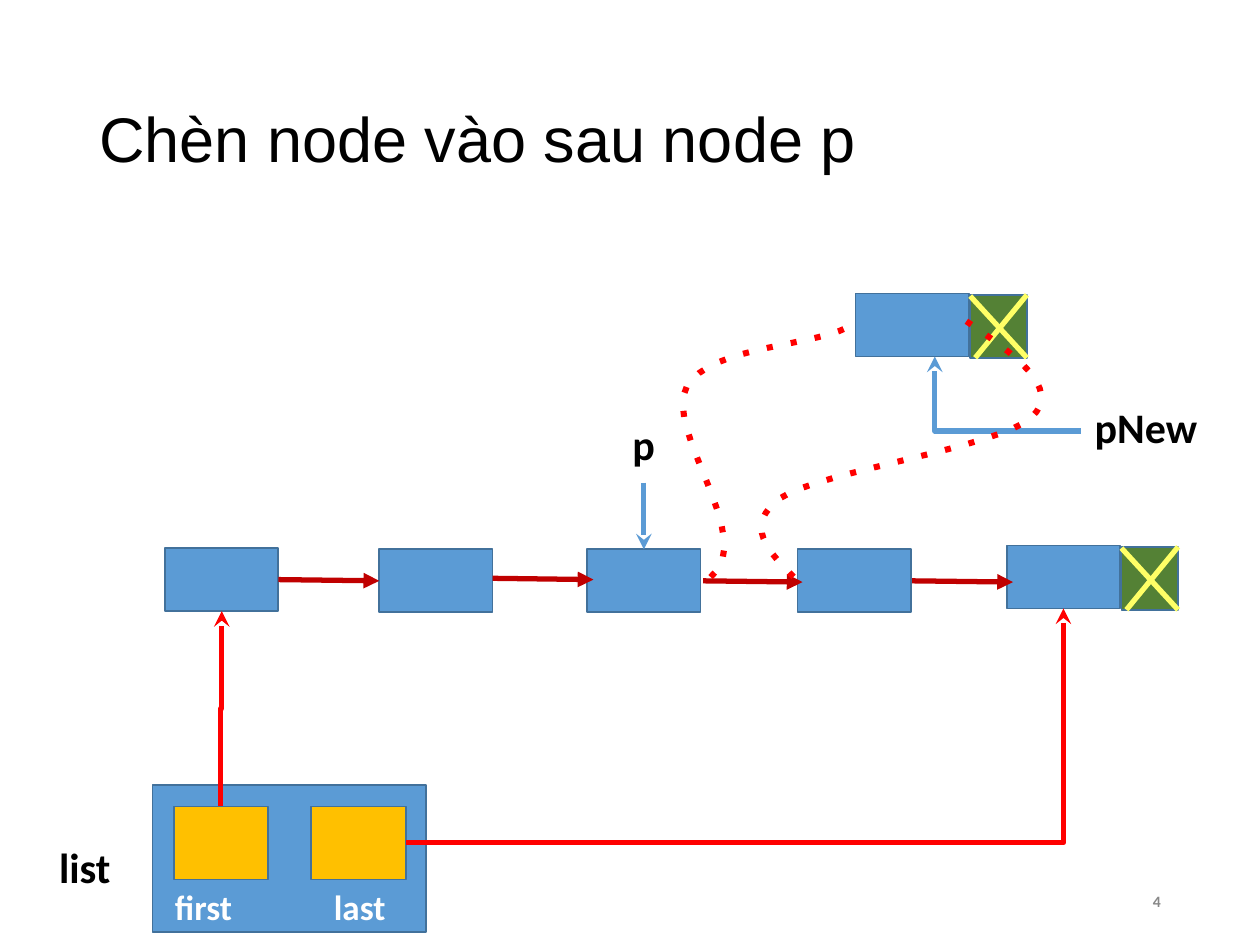
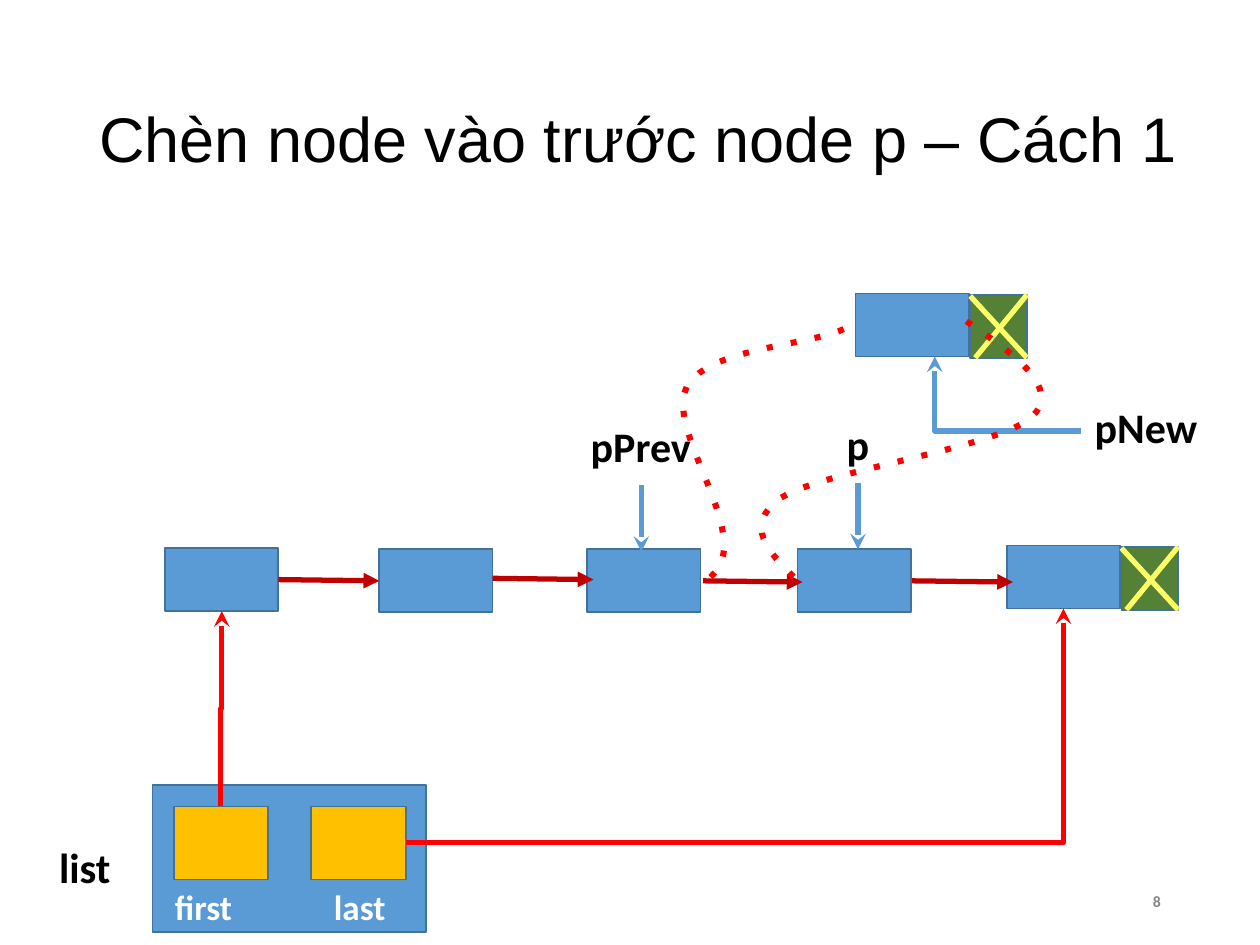
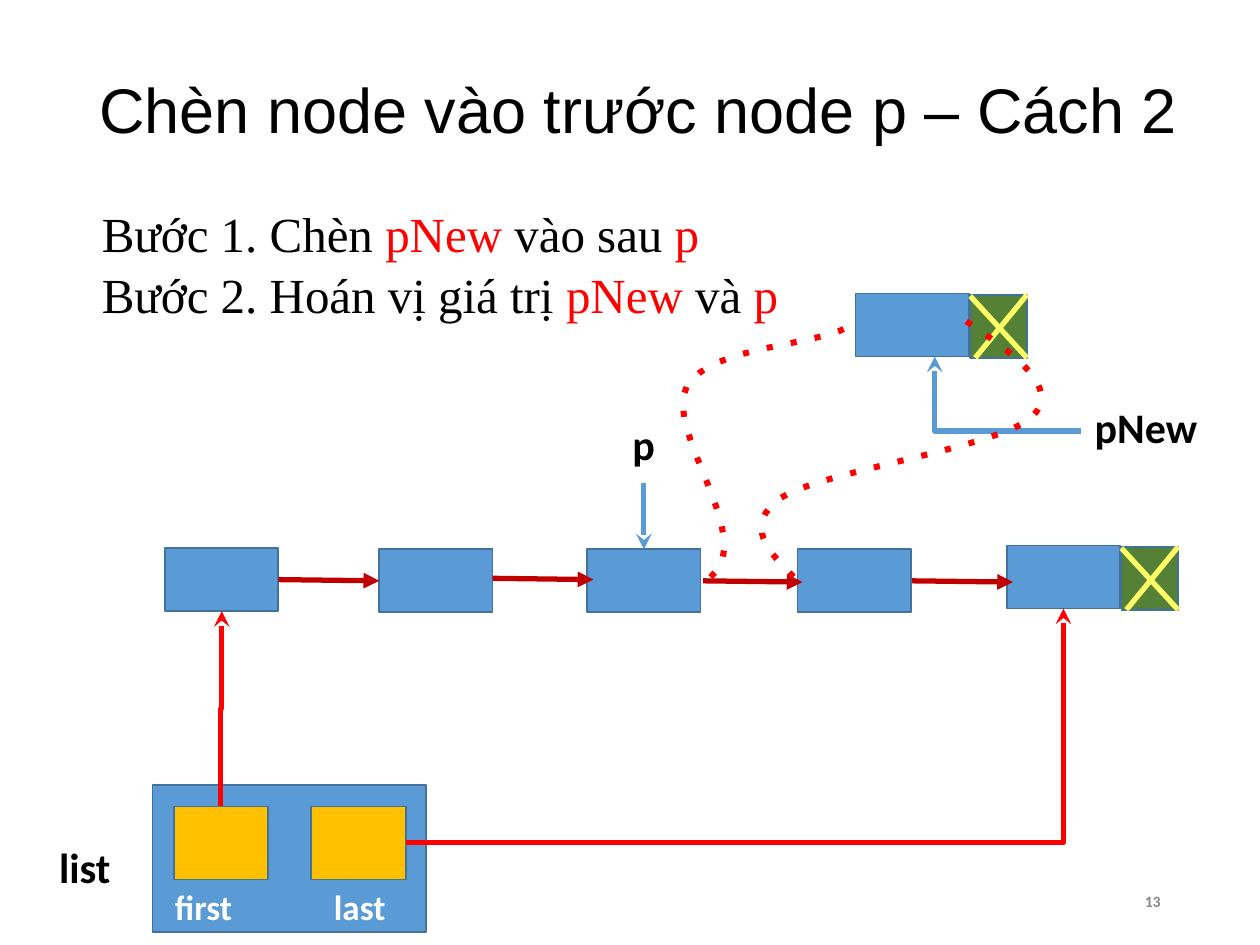
from lxml import etree
from pptx import Presentation
from pptx.dml.color import RGBColor
from pptx.enum.shapes import MSO_CONNECTOR, MSO_SHAPE
from pptx.enum.text import MSO_ANCHOR, PP_ALIGN
from pptx.oxml.ns import qn
from pptx.util import Inches, Pt

STRAIGHT, ELBOW = MSO_CONNECTOR.STRAIGHT, MSO_CONNECTOR.ELBOW
RECTANGLE = MSO_SHAPE.RECTANGLE
TOP, MIDDLE = MSO_ANCHOR.TOP, MSO_ANCHOR.MIDDLE
LEFT, CENTER, RIGHT = PP_ALIGN.LEFT, PP_ALIGN.CENTER, PP_ALIGN.RIGHT

BLACK, WHITE, GREY = "000000", "FFFFFF", "888888"
BLUE, OUTLINE, GOLD, GREEN = "5B9BD5", "42719B", "FFC000", "548135"
RED, DARK_RED, YELLOW = "FF0000", "C00000", "FFFF66"
NODE_WIDTH, NODE_HEIGHT, NULL_WIDTH = 0.9, 0.5, 0.45
CURVE_STEPS = 16

NODES = [(1.31, 4.35), (3.01, 4.36), (4.66, 4.36), (6.33, 4.36), (7.99, 4.33)]
NEXT_ARROWS = [(2.21, 4.6, 3.01), (3.91, 4.59, 4.71), (5.58, 4.61, 6.37), (7.24, 4.61, 8.04)]
NEW_TO_NEXT = [(7.67, 2.55), (8.05, 2.81), (8.43, 3.08), (8.19, 3.31), (7.94, 3.55),
               (6.52, 3.74), (6.2, 3.95), (5.89, 4.17), (6.1, 4.38), (6.31, 4.59)]
PREVIOUS_TO_NEW = [(5.64, 4.58), (6.02, 4.28), (5.26, 3.41), (5.45, 3.07),
                   (5.64, 2.73), (6.54, 2.75), (6.77, 2.57)]
STEPS = [
    [("Bước 1. Chèn ", BLACK), ("pNew", RED), (" vào sau ", BLACK), ("p", RED)],
    [("Bước 2. Hoán vị giá trị ", BLACK), ("pNew", RED), (" và ", BLACK), ("p", RED)],
]


def color(value):
    """Return the colour for a hex string."""
    return RGBColor.from_string(value)


def curve_points(controls):
    """Return points along a chain of cubic Bézier segments."""
    points = [controls[0]]
    for first in range(0, len(controls) - 1, 3):
        segment = controls[first:first + 4]
        for step in range(1, CURVE_STEPS + 1):
            t = step / CURVE_STEPS
            weights = ((1 - t) ** 3, 3 * t * (1 - t) ** 2, 3 * t ** 2 * (1 - t), t ** 3)
            points.append(tuple(sum(weight * point[axis] for weight, point in zip(weights, segment))
                                for axis in (0, 1)))
    return points


class ListDiagram:
    """Draws linked list diagrams on the slides of a deck."""

    def __init__(self, deck):
        """Keep the deck that receives the slides."""
        self.deck = deck
        self.slide = None

    def add_slide(self, title, number, title_top=0.4, title_width=8.93):
        """Start a slide with its title and number."""
        self.slide = self.deck.slides.add_slide(self.deck.slide_layouts[6])
        self.text(0.69, title_top, title_width, 1.45, [[(title, BLACK)]], 36, "Arial",
                  bold=False, anchor=MIDDLE, spacing=0.9)
        self.text(6.62, 6.95, 2.69, 0.4, [[(number, GREY)]], 9, align=RIGHT, anchor=MIDDLE)

    def text(self, left, top, width, height, paragraphs, size, font="Calibri", bold=True,
             align=LEFT, anchor=TOP, spacing=1.0, wrap=True):
        """Add a text box from paragraphs of (text, colour) spans."""
        box = self.slide.shapes.add_textbox(*map(Inches, (left, top, width, height)))
        frame = box.text_frame
        frame.word_wrap = wrap
        frame.vertical_anchor = anchor
        for index, spans in enumerate(paragraphs):
            para = frame.add_paragraph() if index else frame.paragraphs[0]
            para.alignment = align
            para.line_spacing = spacing
            for words, tint in spans:
                span = para.add_run()
                span.text = words
                span.font.size = Pt(size)
                span.font.name = font
                span.font.bold = bold
                span.font.color.rgb = color(tint)

    def label(self, left, top, width, words):
        """Add a one-line variable name."""
        self.text(left, top, width, 0.5, [[(words, BLACK)]], 24, wrap=False)

    def rectangle(self, left, top, width, height, fill):
        """Add an outlined rectangle."""
        shape = self.slide.shapes.add_shape(RECTANGLE, *map(Inches, (left, top, width, height)))
        shape.shadow.inherit = False
        shape.fill.solid()
        shape.fill.fore_color.rgb = color(fill)
        shape.line.color.rgb = color(OUTLINE)
        shape.line.width = Pt(1)

    def node(self, left, top):
        """Add the data part of a list node."""
        self.rectangle(left, top, NODE_WIDTH, NODE_HEIGHT, BLUE)

    def null_cell(self, left, top):
        """Add a crossed-out link cell."""
        right, bottom = left + NULL_WIDTH, top + NODE_HEIGHT
        self.rectangle(left, top, NULL_WIDTH, NODE_HEIGHT, GREEN)
        self.line(right, top, left + 0.04, bottom, YELLOW)
        self.line(left, top + 0.01, right, bottom, YELLOW)

    def line(self, x1, y1, x2, y2, tint, arrow=None, kind=STRAIGHT):
        """Add a connector, with an arrowhead at its end if named."""
        connector = self.slide.shapes.add_connector(kind, *map(Inches, (x1, y1, x2, y2)))
        connector.line.color.rgb = color(tint)
        connector.line.width = Pt(3)
        if arrow:
            etree.SubElement(connector.line._get_or_add_ln(), qn("a:tailEnd"), type=arrow)
        properties = connector._element.spPr
        etree.SubElement(properties, qn("a:effectLst"))
        return properties

    def corner_arrow(self, x1, y1, x2, y2, tint):
        """Add an arrow that runs sideways, then turns once."""
        properties = self.line(x1, y1, x2, y2, tint, "stealth", ELBOW)
        properties.find(qn("a:prstGeom")).set("prst", "bentConnector2")

    def rising_arrow(self, left, top, width, height, tint):
        """Add an elbow arrow turned to point up."""
        properties = self.line(left, top, left + width, top + height, tint, "stealth", ELBOW)
        properties.find(qn("a:xfrm")).set("rot", "16200000")

    def dotted_curve(self, controls):
        """Add a dotted red curve for a new link."""
        start, *rest = [(Inches(x), Inches(y)) for x, y in curve_points(controls)]
        builder = self.slide.shapes.build_freeform(*start)
        builder.add_line_segments(rest, close=False)
        shape = builder.convert_to_shape()
        shape.shadow.inherit = False
        shape.fill.background()
        shape.line.color.rgb = color(RED)
        shape.line.width = Pt(3.5)
        etree.SubElement(shape.line._get_or_add_ln(), qn("a:prstDash"), val="dot")

    def list_header(self):
        """Add the list record with its first and last pointers."""
        self.rectangle(1.21, 6.23, 2.17, 1.17, BLUE)
        for left in (1.38, 2.47):
            self.rectangle(left, 6.4, 0.75, 0.58, GOLD)
        self.text(1.29, 6.98, 1, 0.44, [[("first", WHITE)]], 20)
        self.text(2.45, 6.98, 0.81, 0.44, [[("last", WHITE)]], 20, align=CENTER)
        self.label(0.37, 6.63, 0.62, "list")
        self.rising_arrow(0.98, 5.62, 1.55, 0.01, RED)
        self.corner_arrow(3.22, 6.69, 8.44, 4.83, RED)

    def pointer(self, center, top, name, width):
        """Add a named arrow that points down at a node."""
        self.line(center, top + 0.56, center, top + 1.09, BLUE, "stealth")
        self.label(center - width / 2, top, width, name)

    def linked_list(self, p_center):
        """Add the list, the new node, its links and the pointer p."""
        for left, top in NODES:
            self.node(left, top)
        for start, top, end in NEXT_ARROWS:
            self.line(start, top, end, top + 0.01, DARK_RED, "triangle")
        self.list_header()
        self.null_cell(8.9, 4.34)
        self.node(6.79, 2.33)
        self.null_cell(7.7, 2.34)
        self.corner_arrow(8.58, 3.42, 7.42, 2.83, BLUE)
        self.label(8.59, 3.14, 1.03, "pNew")
        self.pointer(p_center, 3.27, "p", 0.38)
        self.dotted_curve(NEW_TO_NEXT)
        self.dotted_curve(PREVIOUS_TO_NEW)


def main():
    """Build and save the deck."""
    deck = Presentation()
    deck.slide_width, deck.slide_height = Inches(10), Inches(7.5)
    diagram = ListDiagram(deck)

    diagram.add_slide("Chèn node vào sau node p", "4", title_width=8.62)
    diagram.linked_list(5.11)

    diagram.add_slide("Chèn node vào trước node p – Cách 1", "8")
    diagram.linked_list(6.81)
    diagram.pointer(5.09, 3.29, "pPrev", 1)

    diagram.add_slide("Chèn node vào trước node p – Cách 2", "13", title_top=0.17)
    diagram.linked_list(5.11)
    diagram.text(0.71, 1.54, 5.62, 1.04, STEPS, 28, "Times New Roman", bold=False, spacing=1.05)

    deck.save("out.pptx")


if __name__ == "__main__":
    main()
